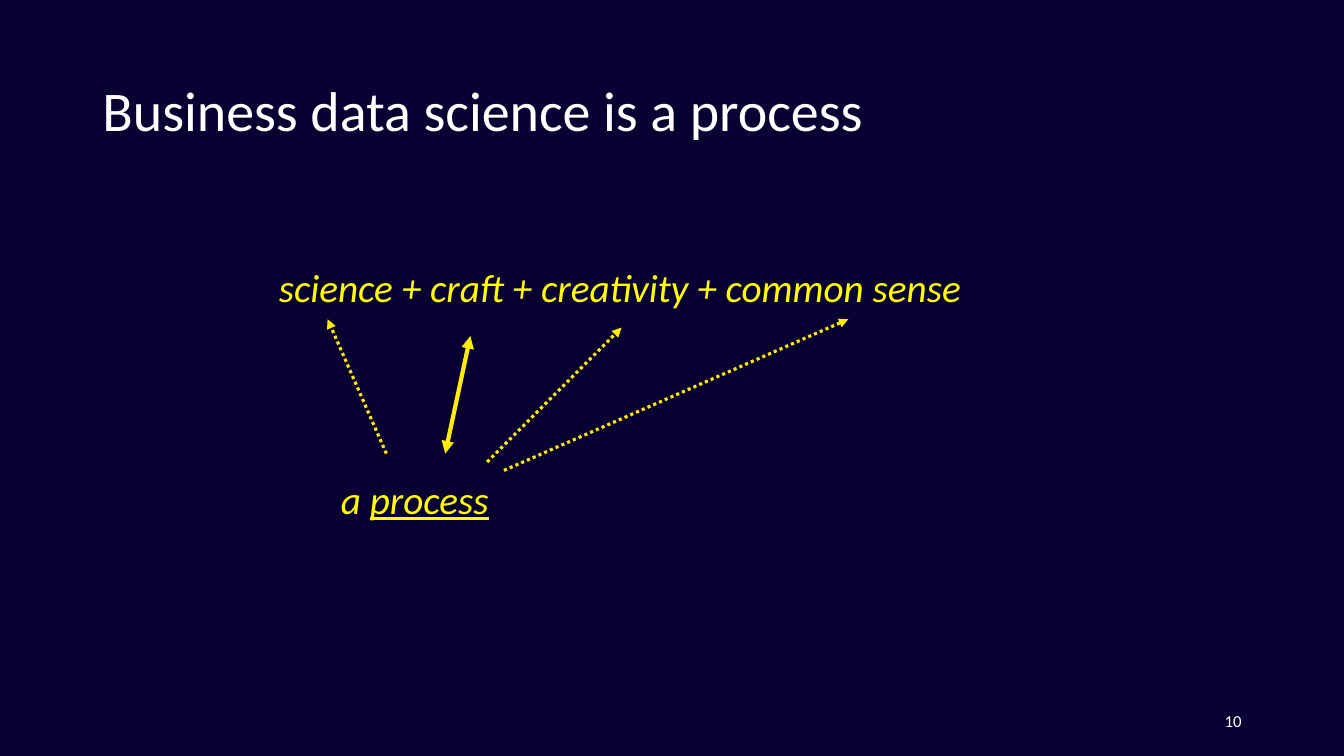
from lxml import etree
from pptx import Presentation
from pptx.dml.color import RGBColor
from pptx.enum.dml import MSO_LINE
from pptx.enum.shapes import MSO_CONNECTOR
from pptx.enum.text import MSO_ANCHOR, MSO_AUTO_SIZE, PP_ALIGN
from pptx.oxml.ns import qn
from pptx.util import Inches, Pt

STRAIGHT = MSO_CONNECTOR.STRAIGHT
DOTTED = MSO_LINE.ROUND_DOT
TOP, MIDDLE = MSO_ANCHOR.TOP, MSO_ANCHOR.MIDDLE
LEFT, RIGHT = PP_ALIGN.LEFT, PP_ALIGN.RIGHT
NO_AUTOFIT = MSO_AUTO_SIZE.NONE

COLORS = {"night": "080131", "white": "FFFFFF", "yellow": "FFFF00", "arrow": "FEEC02"}
FONT = "Calibri"
COLUMNS, ROWS = 160, 90
CELL = Inches(1) / 12

# Start and end of each arrow from "a process", in grid cells
DOTTED_ARROWS = [
    ((46, 54), (39, 38)),
    ((58, 55), (74, 39)),
    ((60, 56), (101, 38)),
]


def cells(*counts):
    """Turn counts of grid cells into lengths."""
    return [round(count * CELL) for count in counts]


def color(name):
    return RGBColor.from_string(COLORS[name])


def set_text(box, area, spans, size, ink, anchor=TOP, align=LEFT, italic=False, wrap=True):
    """Place a box on the grid, fill its one paragraph and return that paragraph."""
    box.left, box.top, box.width, box.height = cells(*area)
    frame = box.text_frame
    frame.word_wrap = wrap
    frame.auto_size = NO_AUTOFIT
    frame.vertical_anchor = anchor
    para = frame.paragraphs[0]
    para.alignment = align
    para.font.name = FONT
    para.font.size = Pt(size)
    para.font.italic = italic
    para.font.color.rgb = color(ink)
    for text, underlined in spans:
        span = para.add_run()
        span.text = text
        if underlined:
            span.font.underline = True
    return para


def remove_bullet(para):
    properties = para._p.get_or_add_pPr()
    properties.set("marL", str(Inches(0.25)))
    properties.set("indent", str(-Inches(0.25)))
    etree.SubElement(properties, qn("a:buNone"))


def add_arrow(page, start, end, width, dash=None, both_ends=False):
    arrow = page.shapes.add_connector(STRAIGHT, *cells(*start, *end))
    arrow.line.color.rgb = color("arrow")
    arrow.line.width = Pt(width)
    if dash is not None:
        arrow.line.dash_style = dash
    line = arrow.line._get_or_add_ln()
    for tag in ("a:headEnd", "a:tailEnd") if both_ends else ("a:tailEnd",):
        etree.SubElement(line, qn(tag), type="triangle")
    etree.SubElement(arrow._element.spPr, qn("a:effectLst"))


def main():
    deck = Presentation()
    deck.slide_width, deck.slide_height = cells(COLUMNS, ROWS)
    page = deck.slides.add_slide(deck.slide_layouts[1])
    page.background.fill.solid()
    page.background.fill.fore_color.rgb = color("night")

    title = set_text(page.shapes.title, (11, 4.8, 138, 17.4),
                     [("Business data science is a process", False)],
                     40, "white", anchor=MIDDLE)
    title.line_spacing = 0.9

    ingredients = set_text(page.placeholders[1], (32, 31.4, 108, 58.6),
                           [("science + craft + creativity + common sense", False)],
                           28, "yellow", italic=True)
    ingredients.line_spacing = 0.9
    ingredients.space_before = Pt(10)
    remove_bullet(ingredients)

    page_number = page.shapes.add_textbox(0, 0, 0, 0)
    set_text(page_number, (113, 83.4, 36, 4.8), [("10", False)],
             12, "white", anchor=MIDDLE, align=RIGHT)

    process = page.shapes.add_textbox(0, 0, 0, 0)
    set_text(process, (39.4, 56, 20.2, 12.5), [("a ", False), ("process", True)],
             28, "yellow", italic=True, wrap=False).space_before = Pt(5.6)

    add_arrow(page, (56, 40), (53, 54), 3, both_ends=True)
    for start, end in DOTTED_ARROWS:
        add_arrow(page, start, end, 2.25, DOTTED)

    deck.save("out.pptx")


if __name__ == "__main__":
    main()
